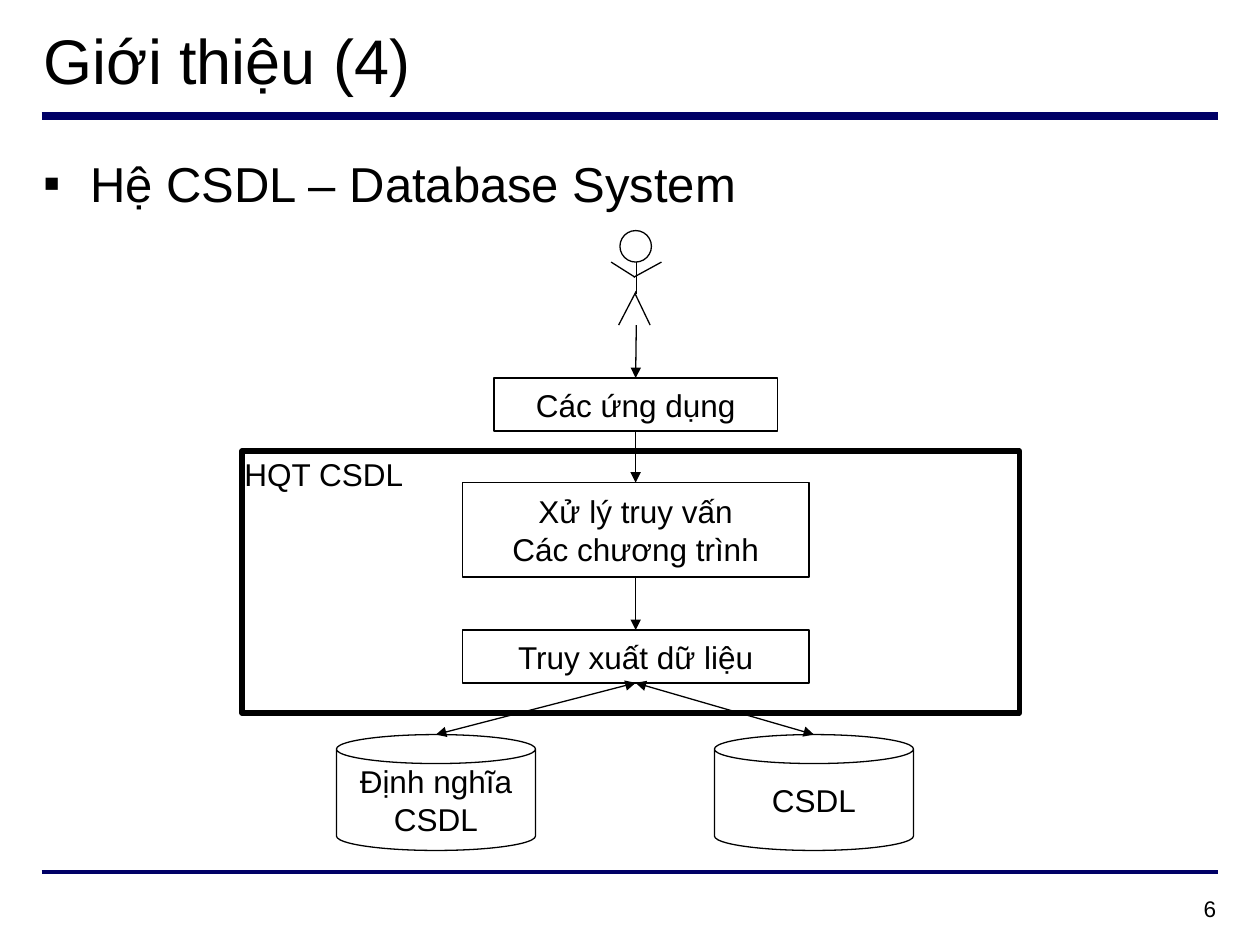
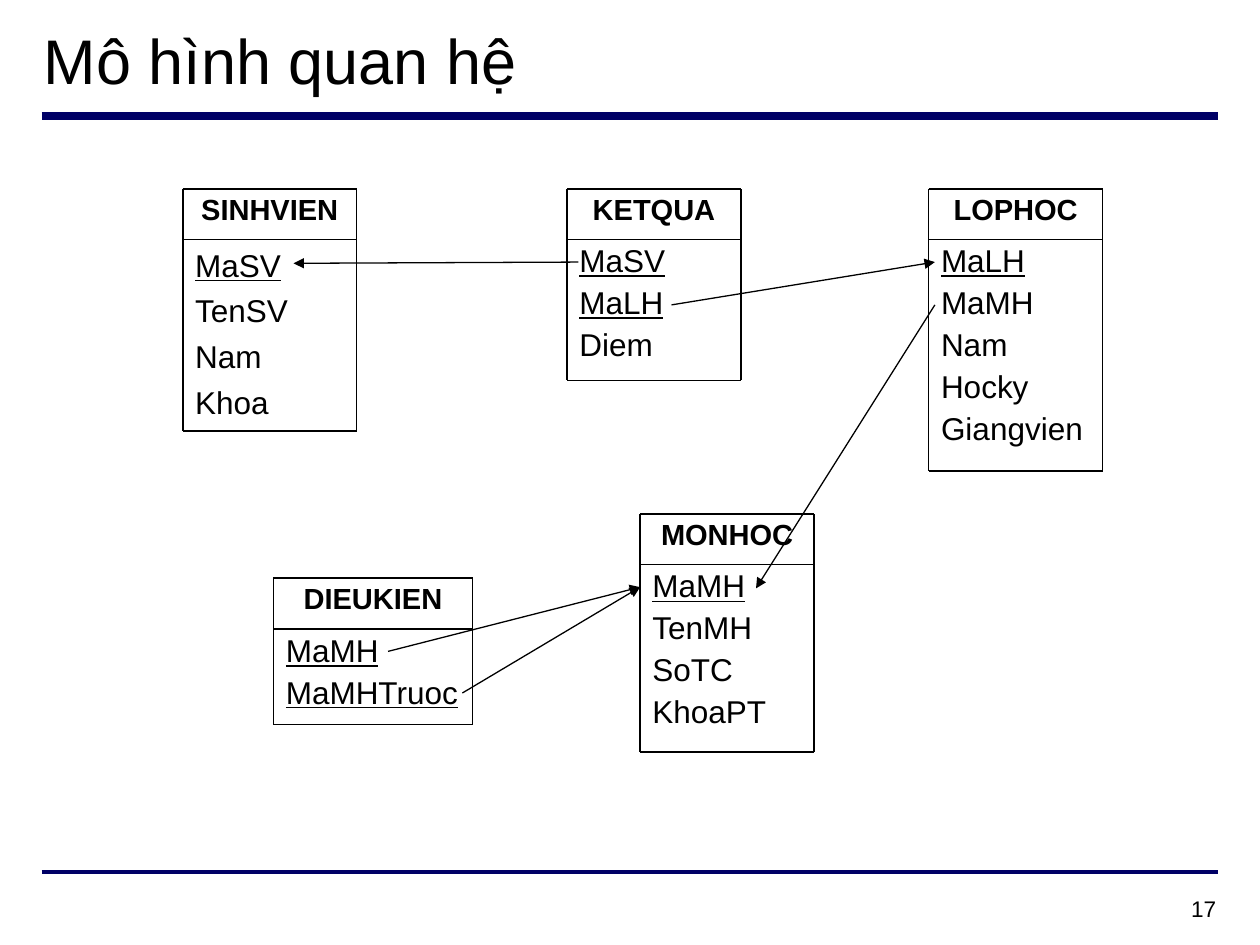
import pptx
import pptx.dml.color
import pptx.enum.shapes
import pptx.enum.text
import pptx.oxml.ns
import pptx.util
from lxml import etree

Inches, Pt = pptx.util.Inches, pptx.util.Pt
qn = pptx.oxml.ns.qn
SHAPE = pptx.enum.shapes.MSO_SHAPE
ALIGN = pptx.enum.text.PP_ALIGN
ANCHOR = pptx.enum.text.MSO_ANCHOR

# Shared look
FONT = "Arial"
INK, NAVY = "000000", "000066"
RULE_LEFT, RULE_RIGHT = 0.33, 9.67
HEADER_HEIGHT = 0.4
TOP, BOTTOM = 0, 2  # connection sites of a rectangle


def color(hex_code):
    return pptx.dml.color.RGBColor.from_string(hex_code)


def write(holder, lines, size=18, bold=False, underlined=0, align=ALIGN.LEFT,
          anchor=ANCHOR.TOP, wrap=True, spacing=1.0, before=0, bullet=None):
    """Fill a shape with one paragraph a line; the first `underlined` lines are underlined."""
    frame = holder.text_frame
    frame.word_wrap = wrap
    frame.vertical_anchor = anchor
    for index, line in enumerate(lines):
        paragraph = frame.paragraphs[0] if index == 0 else frame.add_paragraph()
        paragraph.alignment = align
        paragraph.line_spacing = spacing
        paragraph.space_before = Pt(before if index else 0)
        if bullet:
            add_bullet(paragraph, bullet)
        run = paragraph.add_run()
        run.text = line
        run.font.name = FONT
        run.font.size = Pt(size)
        run.font.bold = bold
        run.font.underline = index < underlined
        run.font.color.rgb = color(INK)


def add_bullet(paragraph, character, indent=0.37):
    properties = paragraph._p.get_or_add_pPr()
    properties.set("marL", str(Inches(indent)))
    properties.set("indent", str(-Inches(indent)))
    bullet_color = etree.SubElement(properties, qn("a:buClr"))
    etree.SubElement(bullet_color, qn("a:srgbClr"), val=INK)
    etree.SubElement(properties, qn("a:buFont"), typeface=FONT)
    etree.SubElement(properties, qn("a:buChar"), char=character)


def add_text(shapes, left, top, width, height, lines, **text_format):
    box = shapes.add_textbox(Inches(left), Inches(top), Inches(width), Inches(height))
    write(box, lines, **text_format)
    return box


def add_outline(shapes, preset, left, top, width, height, lines=(), weight=0.75):
    outline = shapes.add_shape(preset, Inches(left), Inches(top), Inches(width), Inches(height))
    outline.shadow.inherit = False
    outline.fill.background()
    outline.line.color.rgb = color(INK)
    outline.line.width = Pt(weight)
    write(outline, lines, align=ALIGN.CENTER, anchor=ANCHOR.MIDDLE, wrap=False)
    return outline


def add_line(shapes, start, end, weight=0.75, ink=INK, head=False, tail=False):
    line = shapes.add_connector(pptx.enum.shapes.MSO_CONNECTOR.STRAIGHT,
                                *(Inches(length) for length in (*start, *end)))
    line.line.color.rgb = color(ink)
    line.line.width = Pt(weight)
    for tag, wanted in (("a:headEnd", head), ("a:tailEnd", tail)):
        if wanted:
            etree.SubElement(line.line._get_or_add_ln(), qn(tag), type="triangle")
    etree.SubElement(line._element.spPr, qn("a:effectLst"))
    return line


def add_base(deck, title, number):
    """Blank slide with the title, the two rules and the page number."""
    slide = deck.slides.add_slide(deck.slide_layouts[6])
    for height, weight in ((0.92, 4.5), (6.92, 2.25)):
        add_line(slide.shapes, (RULE_LEFT, height), (RULE_RIGHT, height), weight, NAVY)
    add_text(slide.shapes, 0.25, 0.12, 9.5, 0.7, [title], size=36, anchor=ANCHOR.MIDDLE)
    add_text(slide.shapes, 7.42, 7.08, 2.33, 0.34, [str(number)], size=12.9,
             align=ALIGN.RIGHT, spacing=0.9)
    return slide


def add_user(shapes):
    """Stick figure standing above the applications."""
    user = shapes.add_group_shape().shapes
    add_outline(user, SHAPE.OVAL, 4.92, 1.83, 0.25, 0.25)
    limbs = [((5.05, 2.08), (5.05, 2.33)),
             ((5.05, 2.31), (4.91, 2.58)), ((5.04, 2.33), (5.16, 2.58)),
             ((5.25, 2.08), (5.03, 2.2)), ((4.85, 2.08), (5.04, 2.2))]
    for start, end in limbs:
        add_line(user, start, end)


def add_relation(shapes, name, left, top, bottom, fields, keys=1, width=1.38, spacing=0.9):
    """Relation with a header, its fields and the lines round both."""
    relation = shapes.add_group_shape().shapes
    right, divider = left + width, top + HEADER_HEIGHT
    add_text(relation, left, divider, width, bottom - divider, fields,
             underlined=keys, spacing=spacing, before=4.5)
    add_text(relation, left, top, width, HEADER_HEIGHT, [name], size=16.6, bold=True,
             align=ALIGN.CENTER, spacing=0.9)
    for y in (top, divider, bottom):
        add_line(relation, (left, y), (right, y), 1)
    for x in (left, right):
        add_line(relation, (x, top), (x, bottom), 1)


def build_database_system(deck):
    shapes = add_base(deck, "Giới thiệu (4)", 6).shapes
    add_text(shapes, 0.25, 1.17, 9.5, 5.54, ["Hệ CSDL – Database System"], size=28, bullet="▪")

    # Management system and its parts
    add_outline(shapes, SHAPE.RECTANGLE, 1.92, 3.58, 6.17, 2.08, weight=3)
    add_text(shapes, 1.77, 3.6, 1.6, 0.33, ["HQT CSDL"], align=ALIGN.CENTER,
             anchor=ANCHOR.MIDDLE)
    queries = add_outline(shapes, SHAPE.RECTANGLE, 3.67, 3.83, 2.75, 0.75,
                          ["Xử lý truy vấn", "Các chương trình"])
    access = add_outline(shapes, SHAPE.RECTANGLE, 3.67, 5, 2.75, 0.42, ["Truy xuất dữ liệu"])

    # Users and applications
    applications = add_outline(shapes, SHAPE.RECTANGLE, 3.92, 3, 2.25, 0.42, ["Các ứng dụng"])
    add_user(shapes)

    # Flow from the user down to the data access
    request = add_line(shapes, (5.05, 2.58), (5.05, 3), tail=True)
    request.end_connect(applications, TOP)
    for upper, lower in ((applications, queries), (queries, access)):
        step = add_line(shapes, (5.05, 3.42), (5.05, 3.83), tail=True)
        step.begin_connect(upper, BOTTOM)
        step.end_connect(lower, TOP)

    # Stores
    for left, label in ((2.67, ["Định nghĩa", "CSDL"]), (5.67, ["CSDL"])):
        add_outline(shapes, SHAPE.CAN, left, 5.83, 1.58, 0.92, label)
        exchange = add_line(shapes, (5.04, 5.42), (left + 0.79, 5.83), head=True, tail=True)
        exchange.begin_connect(access, BOTTOM)


def build_relational_model(deck):
    shapes = add_base(deck, "Mô hình quan hệ", 17).shapes

    # Relations
    add_relation(shapes, "SINHVIEN", 1.45, 1.5, 3.42, ["MaSV", "TenSV", "Nam", "Khoa"], spacing=1.0)
    add_relation(shapes, "MONHOC", 5.08, 4.08, 5.97, ["MaMH", "TenMH", "SoTC", "KhoaPT"])
    add_relation(shapes, "LOPHOC", 7.37, 1.5, 3.74, ["MaLH", "MaMH", "Nam", "Hocky", "Giangvien"])
    add_relation(shapes, "KETQUA", 4.5, 1.5, 3.02, ["MaSV", "MaLH", "Diem"], keys=2)
    add_relation(shapes, "DIEUKIEN", 2.17, 4.59, 5.75, ["MaMH", "MaMHTruoc"], keys=2, width=1.58)

    # Foreign keys
    references = [((4.59, 2.08), (2.33, 2.09)), ((5.33, 2.42), (7.42, 2.08)),
                  ((7.42, 2.42), (6, 4.67)),
                  ((3.08, 5.17), (5.08, 4.66)), ((3.67, 5.5), (5.08, 4.66))]
    for foreign_key, primary_key in references:
        add_line(shapes, foreign_key, primary_key, tail=True)


def main():
    deck = pptx.Presentation()
    deck.slide_width, deck.slide_height = Inches(10), Inches(7.5)
    build_database_system(deck)
    build_relational_model(deck)
    deck.save("out.pptx")


if __name__ == "__main__":
    main()
